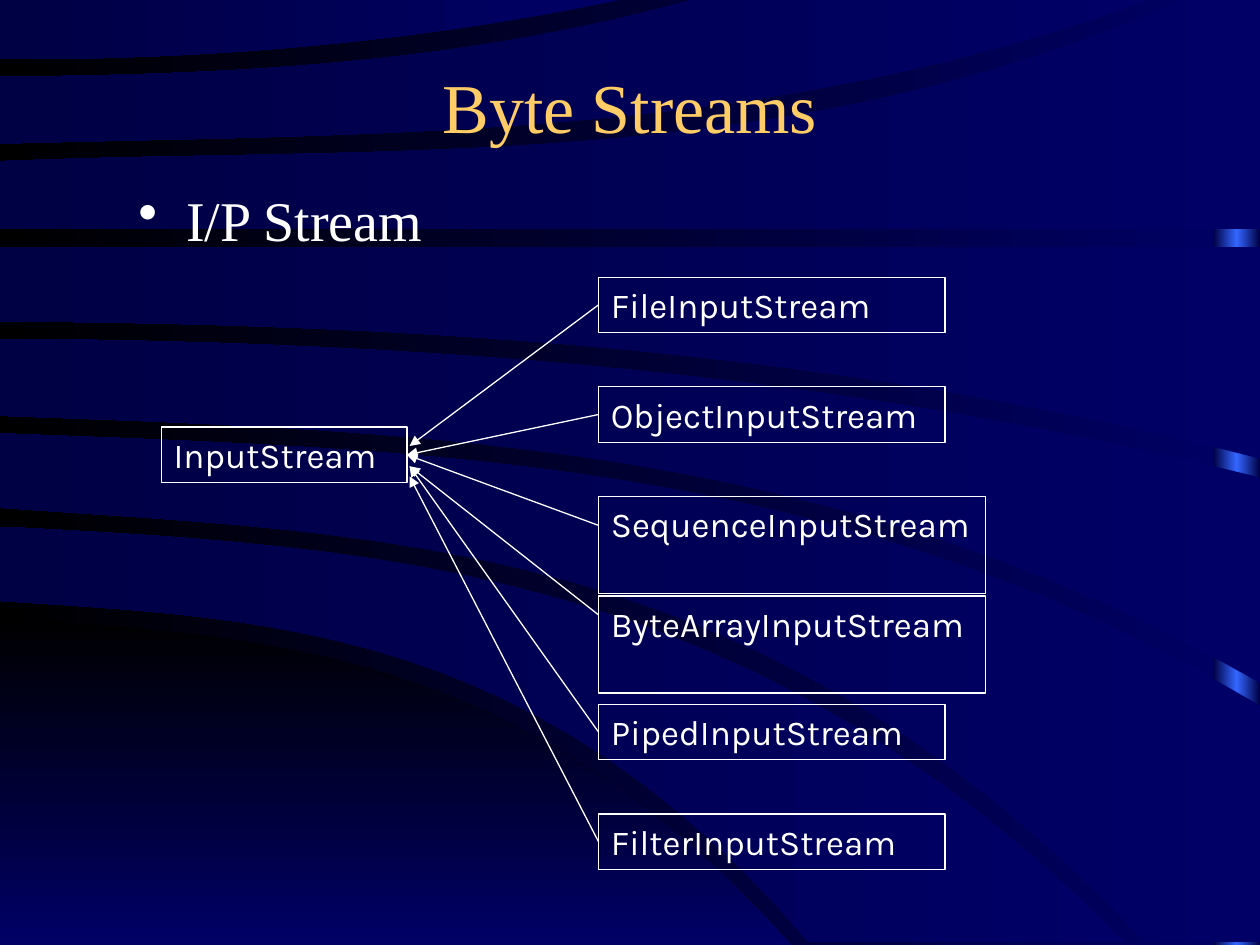
"""Builds the Byte Streams slide: InputStream and the six streams derived from it."""
import copy
import math

from lxml import etree
from pptx import Presentation
from pptx.dml import color
from pptx.enum import shapes, text
from pptx.oxml import ns
from pptx.util import Inches, Pt

NAVY = color.RGBColor(0x00, 0x00, 0x66)
DEEP = color.RGBColor(0x00, 0x00, 0x44)
BLACK = color.RGBColor(0x00, 0x00, 0x00)
BLUE = color.RGBColor(0x33, 0x66, 0xFF)
GOLD = color.RGBColor(0xFF, 0xCC, 0x66)
WHITE = color.RGBColor(0xFF, 0xFF, 0xFF)
STEPS = 24


def paint_gradient(fill, angle, *colours):
    fill.gradient()
    first = fill.gradient_stops[0]._gs
    for _ in colours[2:]:
        first.addnext(copy.deepcopy(first))
    for index, (stop, colour) in enumerate(zip(fill.gradient_stops, colours)):
        stop.color.rgb = colour
        stop.position = index / (len(colours) - 1)
    fill.gradient_angle = angle


def write(shape, words, font_name, size, colour):
    frame = shape.text_frame
    frame.word_wrap = True
    frame.vertical_anchor = text.MSO_ANCHOR.TOP
    para = frame.paragraphs[0]
    para.text = words
    para.alignment = text.PP_ALIGN.LEFT
    para.font.name = font_name
    para.font.size = Pt(size)
    para.font.color.rgb = colour
    return para


deck = Presentation()
deck.slide_width, deck.slide_height = Inches(10), Inches(7.5)
page = deck.slides.add_slide(deck.slide_layouts[6])
paint_gradient(page.background.fill, 180, NAVY, BLACK)

bar = page.shapes.add_shape(
    shapes.MSO_SHAPE.RECTANGLE, Inches(9.63), 0, Inches(0.37), Inches(7.5))
bar.shadow.inherit = False
bar.line.fill.background()
paint_gradient(bar.fill, 180, DEEP, BLUE, DEEP)

dome = ([(0, 4.91), (1.65, 5.05), (4.62, 6.06), (6.28, 7.5)], [], [(0, 7.5), (6.28, 7.5)])
bands = [
    ([(0, 4.18), (2.49, 4.37), (6.44, 5.57), (8.93, 7.48)], [],
     [(0, 4.77), (1.85, 4.93), (4.54, 5.84), (6.42, 7.48)]),
    ([(0, 3.44), (2.89, 3.58), (7.38, 4.4), (10, 5.6)], [(10, 7.48)],
     [(0, 4.03), (2.67, 4.25), (6.78, 5.58), (9.09, 7.48)]),
    ([(0, 2.69), (2.65, 2.76), (7.68, 3.3), (10, 3.79)], [],
     [(0, 3.3), (3.03, 3.45), (7.43, 4.27), (10, 5.42)]),
    ([(0, 1.96), (10, 1.96)], [],
     [(0, 2.55), (2.78, 2.62), (7.58, 3.12), (10, 3.64)]),
    ([(0, 1.28), (2.86, 1.21), (7.34, 0.7), (9.43, -0.02)], [(10, -0.02)],
     [(0, 1.82), (10, 1.82)]),
    ([(0, 0.61), (1.6, 0.57), (4.16, 0.3), (5.56, -0.02)], [],
     [(0, 1.14), (2.7, 1.07), (6.83, 0.64), (9.17, -0.02)]),
    ([(0, -0.02), (5.01, -0.02)], [],
     [(0, 0.47), (1.37, 0.44), (3.46, 0.25), (5.01, -0.02)]),
]
outlines = [(dome, 270, BLACK, NAVY)] + [(band, 180, NAVY, DEEP) for band in bands]
for (upper, corners, lower), angle, start, end in outlines:
    edges = []
    for knots in (upper, lower):
        edge = []
        for step in range(STEPS + 1):
            x = knots[-1][0] * step / STEPS
            y = sum(
                knot_y * math.prod((x - other) / (knot_x - other)
                                   for other, _ in knots if other != knot_x)
                for knot_x, knot_y in knots)
            edge.append((Inches(x), Inches(y)))
        edges.append(edge)
    turns = [(Inches(x), Inches(y)) for x, y in corners]
    points = edges[0] + turns + edges[1][::-1]
    builder = page.shapes.build_freeform(*points[0])
    builder.add_line_segments(points[1:], close=True)
    swoosh = builder.convert_to_shape()
    swoosh.shadow.inherit = False
    swoosh.line.fill.background()
    paint_gradient(swoosh.fill, angle, start, end)

title = page.shapes.add_textbox(Inches(0.75), Inches(0.5), Inches(8.5), Inches(0.67))
heading = write(title, "Byte Streams", "Times New Roman", 40, GOLD)
heading.alignment = text.PP_ALIGN.CENTER
title.text_frame.vertical_anchor = text.MSO_ANCHOR.MIDDLE

body = page.shapes.add_textbox(Inches(1), Inches(1.42), Inches(8.5), Inches(5.67))
props = body.text_frame.paragraphs[0]._p.get_or_add_pPr()
props.set("marL", str(Inches(0.38)))
props.set("indent", str(Inches(-0.38)))
etree.SubElement(props, ns.qn("a:buChar")).set("char", "•")
write(body, "I/P Stream", "Times New Roman", 32, WHITE)

boxes = {}
for name, left, top, width, height in [
    ("InputStream", 1.28, 3.39, 1.95, 0.44),
    ("FileInputStream", 4.75, 2.2, 2.75, 0.44),
    ("ObjectInputStream", 4.75, 3.07, 2.75, 0.44),
    ("SequenceInputStream", 4.75, 3.94, 3.07, 0.77),
    ("ByteArrayInputStream", 4.75, 4.73, 3.07, 0.77),
    ("PipedInputStream", 4.75, 5.59, 2.75, 0.44),
    ("FilterInputStream", 4.75, 6.46, 2.75, 0.44),
]:
    box = page.shapes.add_shape(
        shapes.MSO_SHAPE.RECTANGLE, Inches(left), Inches(top), Inches(width), Inches(height))
    box.shadow.inherit = False
    box.fill.background()
    box.line.color.rgb = WHITE
    box.line.width = Pt(0.75)
    write(box, name, "Karla", 20, WHITE)
    boxes[name] = box

for name, start_y, end_y, from_middle, to_middle in [
    ("SequenceInputStream", 3.62, 4.17, True, False),
    ("ObjectInputStream", 3.62, 3.31, True, True),
    ("FileInputStream", 3.54, 2.44, False, True),
    ("ByteArrayInputStream", 3.7, 4.88, False, False),
    ("PipedInputStream", 3.7, 5.83, False, True),
    ("FilterInputStream", 3.78, 6.69, False, True),
]:
    arrow = page.shapes.add_connector(
        shapes.MSO_CONNECTOR.STRAIGHT,
        Inches(3.25), Inches(start_y), Inches(4.75), Inches(end_y))
    if from_middle:
        arrow.begin_connect(boxes["InputStream"], 3)
    if to_middle:
        arrow.end_connect(boxes[name], 1)
    arrow.line.color.rgb = WHITE
    arrow.line.width = Pt(0.75)
    etree.SubElement(arrow.line._get_or_add_ln(), ns.qn("a:headEnd")).set("type", "triangle")
    etree.SubElement(arrow._element.spPr, ns.qn("a:effectLst"))

deck.save("out.pptx")
